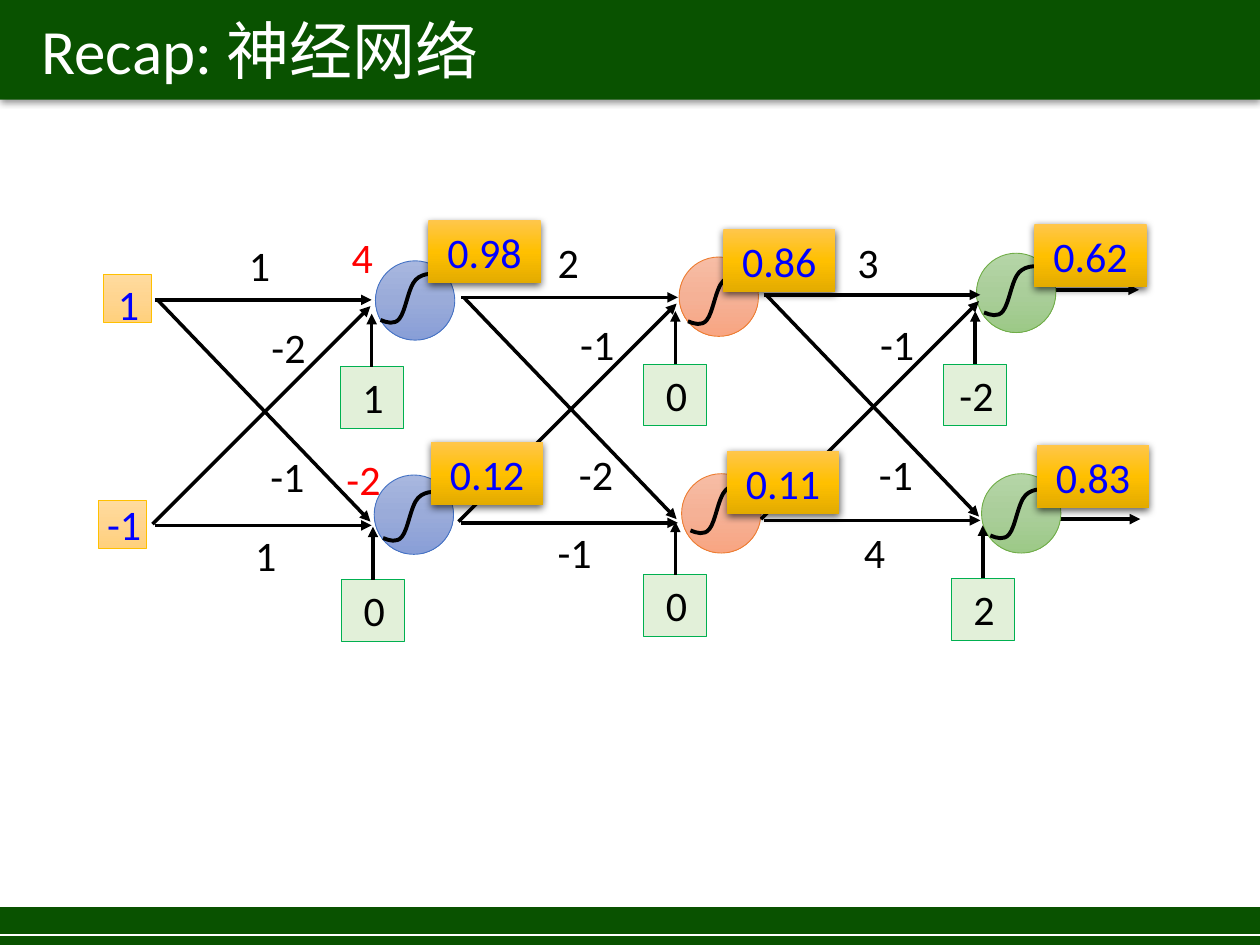
from copy import deepcopy

from lxml import etree
from pptx import Presentation
from pptx.dml.color import RGBColor
from pptx.enum.shapes import MSO_CONNECTOR, MSO_SHAPE
from pptx.enum.text import MSO_ANCHOR, MSO_AUTO_SIZE, PP_ALIGN
from pptx.oxml.ns import qn
from pptx.util import Inches, Pt

RECTANGLE, OVAL = MSO_SHAPE.RECTANGLE, MSO_SHAPE.OVAL
STRAIGHT = MSO_CONNECTOR.STRAIGHT
MIDDLE = MSO_ANCHOR.MIDDLE
NO_FIT, GROW = MSO_AUTO_SIZE.NONE, MSO_AUTO_SIZE.SHAPE_TO_FIT_TEXT
LEFT, CENTER = PP_ALIGN.LEFT, PP_ALIGN.CENTER

FONT = "Calibri"
BLACK = RGBColor(0x00, 0x00, 0x00)
WHITE = RGBColor(0xFF, 0xFF, 0xFF)
RED = RGBColor(0xFF, 0x00, 0x00)
BLUE = RGBColor(0x00, 0x00, 0xFF)
DARK_GREEN = RGBColor(0x09, 0x52, 0x00)
BIAS_FILL = RGBColor(0xE2, 0xF0, 0xD9)
BIAS_LINE = RGBColor(0x00, 0xB0, 0x50)
BLUE_LINE = RGBColor(0x44, 0x72, 0xC4)
ORANGE_LINE = RGBColor(0xED, 0x7D, 0x31)
GREEN_LINE = RGBColor(0x70, 0xAD, 0x47)
GOLD_LINE = RGBColor(0xFF, 0xC0, 0x00)
BLUE_SHADES = [RGBColor(0xA8, 0xB7, 0xDF), RGBColor(0x9A, 0xAB, 0xD9), RGBColor(0x88, 0x9E, 0xD7)]
ORANGE_SHADES = [RGBColor(0xF7, 0xBD, 0xA5), RGBColor(0xF5, 0xB1, 0x96), RGBColor(0xF8, 0xA5, 0x82)]
GREEN_SHADES = [RGBColor(0xB5, 0xD5, 0xA7), RGBColor(0xAA, 0xCE, 0x9A), RGBColor(0x9C, 0xC9, 0x87)]
INPUT_SHADES = [RGBColor(0xFF, 0xDB, 0x9E), RGBColor(0xFF, 0xD5, 0x90), RGBColor(0xFF, 0xD0, 0x7C)]
TAG_SHADES = [RGBColor(0xFF, 0xC6, 0x4B), RGBColor(0xFF, 0xC0, 0x00), RGBColor(0xE3, 0xAB, 0x00)]

SYNAPSES = [(0, 1.78, 1.73, 0.05), (0.04, 0, 1.73, 1.76),
            (0.02, 1.79, 1.74, 1.79), (0.02, 0, 1.74, 0)]
WEIGHT_SPOTS = [(0, 0, 0.38), (0.18, 0.65, 0.48), (-0.15, 2.3, 0.78), (0.02, 1.68, 0.78)]
SIGMOID = [(0.51, 0.01), (0.43, 0), (0.34, -0.01), (0.28, 0.05), (0.22, 0.11),
           (0.2, 0.3), (0.15, 0.36), (0.11, 0.41), (0.05, 0.39), (0, 0.37)]

INPUTS = [((0.82, 2.18), (0.83, 2.16, 0.38), "1"), ((0.78, 3.97), (0.72, 3.91, 0.53), "-1")]
LAYERS = [
    {"start": (1.21, 2.38), "labels": (1.87, 1.85), "weights": ["1", "-2", "1", "-1"],
     "shades": BLUE_SHADES, "line": BLUE_LINE,
     "neurons": [((2.98, 2.07), (3.02, 2.17), (2.7, 2.91), "1"),
                 ((2.97, 3.77), (3.04, 3.9), (2.71, 4.6), "0")]},
    {"start": (3.64, 2.36), "labels": (4.32, 1.83), "weights": ["2", "-1", "-1", "-2"],
     "shades": ORANGE_SHADES, "line": ORANGE_LINE,
     "neurons": [((5.39, 2.04), (5.46, 2.18), (5.11, 2.89), "0"),
                 ((5.41, 3.76), (5.48, 3.84), (5.11, 4.56), "0")]},
    {"start": (6.04, 2.34), "labels": (6.7, 1.83), "weights": ["3", "-1", "4", "-1"],
     "shades": GREEN_SHADES, "line": GREEN_LINE,
     "neurons": [((7.75, 2.01), (7.81, 2.11), (7.49, 2.89), "-2"),
                 ((7.79, 3.76), (7.86, 3.88), (7.55, 4.59), "2")]},
]
SUMS = [((2.64, 1.79, 0.47), "4"), ((2.51, 3.55, 0.75), "-2")]
OUTPUT_ARROWS = [(8.33, 2.3, 9.04, 2.3), (8.33, 4.12, 9.05, 4.12)]
ACTIVATIONS = [(3.4, 1.75, "0.98"), (3.42, 3.51, "0.12"), (5.74, 1.82, "0.86"),
               (5.77, 3.58, "0.11"), (8.21, 1.78, "0.62"), (8.23, 3.53, "0.83")]


def write(shape, text, size, color, align=CENTER):
    para = shape.text_frame.paragraphs[0]
    para.alignment = align
    span = para.add_run()
    span.text = text
    span.font.name = FONT
    span.font.size = Pt(size)
    span.font.color.rgb = color


def add_shadow(shape, alpha, blur, distance):
    effects = etree.SubElement(shape._element.spPr, qn("a:effectLst"))
    outer = etree.SubElement(effects, qn("a:outerShdw"), blurRad=str(Pt(blur)),
                             dist=str(Pt(distance)), dir="5400000", rotWithShape="0")
    color = etree.SubElement(outer, qn("a:srgbClr"), val=str(BLACK))
    etree.SubElement(color, qn("a:alpha"), val=str(alpha * 1000))


def paint(shape, colors):
    fill = shape.fill
    if isinstance(colors, RGBColor):
        fill.solid()
        fill.fore_color.rgb = colors
        return
    fill.gradient()
    fill.gradient_angle = 270
    stops = shape._element.spPr.find(qn("a:gradFill")).find(qn("a:gsLst"))
    stops.insert(1, deepcopy(stops[0]))
    for stop, position, color in zip(fill.gradient_stops, (0, 0.5, 1), colors):
        stop.position = position
        stop.color.rgb = color


def add_block(page, kind, left, top, width, height, colors, line=None):
    block = page.shapes.add_shape(kind, Inches(left), Inches(top), Inches(width), Inches(height))
    paint(block, colors)
    if line is None:
        block.line.fill.background()
    else:
        block.line.color.rgb = line
        block.line.width = Pt(0.5)
    return block


def add_line(page, x1, y1, x2, y2, color=BLACK, width=2, arrow=True):
    line = page.shapes.add_connector(STRAIGHT, Inches(x1), Inches(y1), Inches(x2), Inches(y2))
    line.line.color.rgb = color
    line.line.width = Pt(width)
    if arrow:
        etree.SubElement(line.line._get_or_add_ln(), qn("a:tailEnd"), type="triangle")
    etree.SubElement(line._element.spPr, qn("a:effectLst"))


def add_label(page, left, top, width, text, color=BLACK):
    box = page.shapes.add_textbox(Inches(left), Inches(top), Inches(width), Inches(0.5))
    frame = box.text_frame
    frame.word_wrap = True
    frame.auto_size = GROW
    frame.margin_left = frame.margin_right = 0
    write(box, text, 24, color)


def add_sigmoid(page, left, top):
    points = [(Inches(left + x), Inches(top + y)) for x, y in SIGMOID]
    builder = page.shapes.build_freeform(*points[0])
    builder.add_line_segments(points[1:], close=False)
    curve = builder.convert_to_shape()
    outline = next(curve._element.iter(qn("a:path")))
    segments = outline.findall(qn("a:lnTo"))
    for first in range(0, len(segments), 3):
        bezier = etree.SubElement(outline, qn("a:cubicBezTo"))
        for segment in segments[first:first + 3]:
            bezier.append(segment[0])
            outline.remove(segment)
    curve.fill.background()
    curve.line.color.rgb = BLACK
    curve.line.width = Pt(2.25)
    curve.shadow.inherit = False


def add_header(page, left, top, width, height):
    title = page.shapes.title
    title.left, title.top = Inches(left), Inches(top)
    title.width, title.height = Inches(width), Inches(height)
    paint(title, DARK_GREEN)
    add_shadow(title, 40, 4, 1)
    frame = title.text_frame
    frame.auto_size = NO_FIT
    frame.vertical_anchor = MIDDLE
    frame.margin_left = Inches(0.33)
    write(title, "Recap: 神经网络", 36, WHITE, LEFT)


def add_footer(page, left, top, width, height):
    band = add_block(page, RECTANGLE, left, top, width, height, DARK_GREEN)
    band.shadow.inherit = False
    add_line(page, left, top + 0.22, left + width, top + 0.22, WHITE, 0.75, arrow=False)


def add_inputs(page):
    for corner, label, value in INPUTS:
        box = add_block(page, RECTANGLE, *corner, 0.38, 0.38, INPUT_SHADES, GOLD_LINE)
        box.shadow.inherit = False
        add_label(page, *label, value, BLUE)


def add_bias(page, left, top, value):
    box = add_block(page, RECTANGLE, left, top, 0.5, 0.49, BIAS_FILL, BIAS_LINE)
    box.shadow.inherit = False
    add_line(page, left + 0.25, top, left + 0.25, top - 0.42)
    add_label(page, left + 0.02, top - 0.01, 0.48, value)


def add_layer(page, layer):
    for circle, curve, bias, value in layer["neurons"]:
        neuron = add_block(page, OVAL, *circle, 0.63, 0.63, layer["shades"], layer["line"])
        neuron.shadow.inherit = False
        add_sigmoid(page, *curve)
        add_bias(page, *bias, value)
    x, y = layer["start"]
    for x1, y1, x2, y2 in SYNAPSES:
        add_line(page, x + x1, y + y1, x + x2, y + y2)
    left, top = layer["labels"]
    for (dx, dy, width), weight in zip(WEIGHT_SPOTS, layer["weights"]):
        add_label(page, left + dx, top + dy, width, weight)


def add_activation(page, left, top, value):
    tag = add_block(page, RECTANGLE, left, top, 0.89, 0.5, TAG_SHADES)
    add_shadow(tag, 63, 4.5, 1.5)
    tag.text_frame.auto_size = GROW
    write(tag, value, 24, BLUE)


def main():
    deck = Presentation()
    deck.slide_width, deck.slide_height = Inches(10), Inches(7.5)
    page = deck.slides.add_slide(deck.slide_layouts[5])
    add_header(page, 0, -0.01, 10, 0.8)
    add_footer(page, 0, 7.2, 10, 0.3)
    for arrow in OUTPUT_ARROWS:
        add_line(page, *arrow)
    add_inputs(page)
    for layer in LAYERS:
        add_layer(page, layer)
    for spot, value in SUMS:
        add_label(page, *spot, value, RED)
    for activation in ACTIVATIONS:
        add_activation(page, *activation)
    deck.save("out.pptx")


if __name__ == "__main__":
    main()
